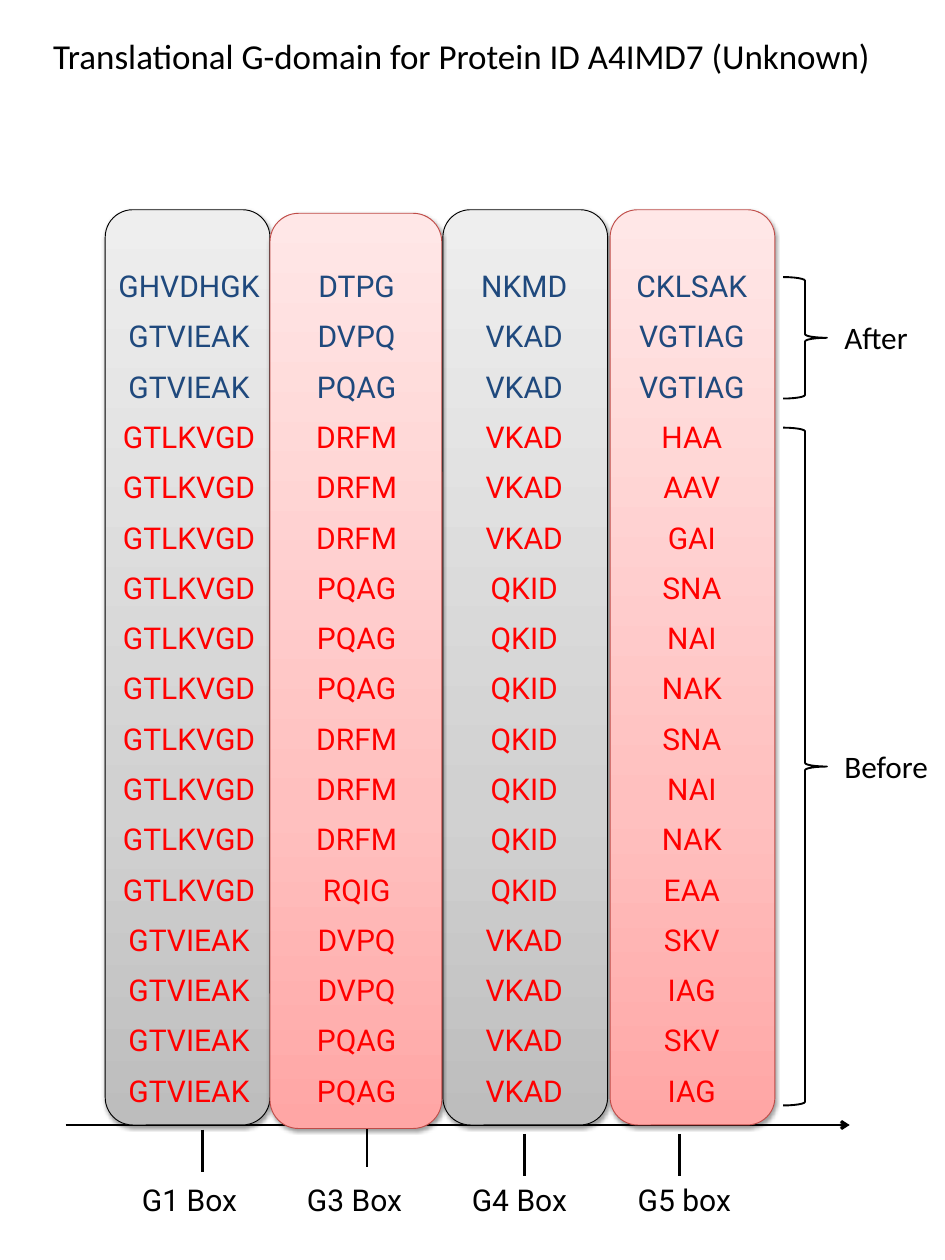
from copy import deepcopy

from lxml import etree
from pptx import Presentation
from pptx.dml.color import RGBColor
from pptx.enum import shapes, text
from pptx.oxml import ns
from pptx.util import Cm, Pt

BLACK = RGBColor(0x00, 0x00, 0x00)
WHITE = RGBColor(0xFF, 0xFF, 0xFF)
NAVY = RGBColor(0x1F, 0x49, 0x7D)
RED = RGBColor(0xFF, 0x00, 0x00)
BRICK = RGBColor(0xBF, 0x4C, 0x48)
GREYS = [RGBColor(0xBD, 0xBD, 0xBD), RGBColor(0xD1, 0xD1, 0xD1), RGBColor(0xEE, 0xEE, 0xEE)]
PINKS = [RGBColor(0xFF, 0xA6, 0xA5), RGBColor(0xFF, 0xC0, 0xBF), RGBColor(0xFF, 0xE7, 0xE7)]
PLAIN_TABLE = "{2D5ABB26-0587-4C30-8999-92F81FD0307C}"

AFTER_ROWS = 3
MOTIFS = [row.split() for row in """
GHVDHGK DTPG NKMD CKLSAK
GTVIEAK DVPQ VKAD VGTIAG
GTVIEAK PQAG VKAD VGTIAG
GTLKVGD DRFM VKAD HAA
GTLKVGD DRFM VKAD AAV
GTLKVGD DRFM VKAD GAI
GTLKVGD PQAG QKID SNA
GTLKVGD PQAG QKID NAI
GTLKVGD PQAG QKID NAK
GTLKVGD DRFM QKID SNA
GTLKVGD DRFM QKID NAI
GTLKVGD DRFM QKID NAK
GTLKVGD RQIG QKID EAA
GTVIEAK DVPQ VKAD SKV
GTVIEAK DVPQ VKAD IAG
GTVIEAK PQAG VKAD SKV
GTVIEAK PQAG VKAD IAG
""".strip().splitlines()]


def apply(target, values):
    for name, value in values.items():
        setattr(target, name, value)


def write(frame, words, font, size, color, align):
    paragraph = frame.paragraphs[0]
    paragraph.alignment = align
    run = paragraph.add_run()
    run.text = words
    apply(run.font, {"name": font, "size": Pt(size), "bold": False})
    run.font.color.rgb = color


def fit_frame(frame, wrap):
    apply(frame, {"margin_left": Cm(0.36), "margin_right": Cm(0.36),
                  "margin_top": Cm(0.18), "margin_bottom": Cm(0.18),
                  "vertical_anchor": text.MSO_ANCHOR.TOP, "word_wrap": wrap,
                  "auto_size": text.MSO_AUTO_SIZE.SHAPE_TO_FIT_TEXT})


def add_heading(slide, left, top, width, height):
    title = slide.shapes.title
    apply(title, {"left": Cm(left), "top": Cm(top), "width": Cm(width), "height": Cm(height)})
    fit_frame(title.text_frame, True)
    write(title.text_frame, "Translational G-domain for Protein ID A4IMD7 (Unknown)",
          "Calibri", 28, BLACK, text.PP_ALIGN.CENTER)


def add_rule(slide, x1, y1, x2, y2, arrow=False):
    rule = slide.shapes.add_connector(shapes.MSO_CONNECTOR.STRAIGHT,
                                      Cm(x1), Cm(y1), Cm(x2), Cm(y2))
    rule.line.color.rgb = BLACK
    rule.line.width = Pt(2.25)
    if arrow:
        etree.SubElement(rule.line._get_or_add_ln(), ns.qn("a:tailEnd"), type="arrow")
    etree.SubElement(rule._element.spPr, ns.qn("a:effectLst"))


def add_band(slide, left, top, width, height, tones, edge):
    band = slide.shapes.add_shape(shapes.MSO_SHAPE.ROUNDED_RECTANGLE,
                                  Cm(left), Cm(top), Cm(width), Cm(height))
    band.line.color.rgb = edge
    band.line.width = Pt(0.75)
    # Three-stop gradient rising from the dark foot
    band.fill.gradient()
    stop_list = band._element.spPr.find(".//" + ns.qn("a:gsLst"))
    stop_list.append(deepcopy(stop_list[0]))
    for stop, tone, position in zip(band.fill.gradient_stops, tones, (0, 0.35, 1)):
        stop.color.rgb = tone
        stop.position = position
    band.fill.gradient_angle = 90
    # Soft shadow below
    band.shadow.inherit = False
    effects = band._element.spPr.find(ns.qn("a:effectLst"))
    shade = etree.SubElement(effects, ns.qn("a:outerShdw"), blurRad="40000",
                             dist="20000", dir="5400000", rotWithShape="0")
    tint = etree.SubElement(shade, ns.qn("a:srgbClr"), val="000000")
    etree.SubElement(tint, ns.qn("a:alpha"), val="38000")


def add_grid(slide, left, top, width, height, rows, colors, cell_format, fill=None):
    frame = slide.shapes.add_table(len(rows), len(rows[0]),
                                   Cm(left), Cm(top), Cm(width), Cm(height))
    grid = frame.table
    apply(grid, {"first_row": False, "horz_banding": False})
    grid._tbl.tblPr.find(ns.qn("a:tableStyleId")).text = PLAIN_TABLE
    for r, (row, color) in enumerate(zip(rows, colors)):
        grid.rows[r].height = Cm(height / len(rows))
        for c, words in enumerate(row):
            cell = grid.cell(r, c)
            apply(cell, cell_format)
            if fill is None:
                cell.fill.background()
            else:
                cell.fill.solid()
                cell.fill.fore_color.rgb = fill
            write(cell.text_frame, words, "Roboto", 24, color, text.PP_ALIGN.CENTER)


def add_axis(slide, left, top, width):
    add_rule(slide, left, top, left + width, top, arrow=True)
    add_grid(slide, left + 1.17, top + 1.12, 18.62, 2.06,
             [["G1 Box", "G3 Box", "G4 Box", "G5 box"]], [BLACK],
             {"margin_left": Cm(0.13), "margin_right": Cm(0.13),
              "margin_top": Cm(0.2), "margin_bottom": Cm(0.2),
              "vertical_anchor": text.MSO_ANCHOR.MIDDLE}, WHITE)
    for x, drop in ((3.87, 0.13), (8.51, 0), (12.96, 0.25), (17.33, 0.25)):
        add_rule(slide, left + x, top + drop, left + x, top + drop + 1.19)


def add_phase(slide, left, top, height, label, label_width):
    brace = slide.shapes.add_shape(shapes.MSO_SHAPE.RIGHT_BRACE,
                                   Cm(left), Cm(top), Cm(1.24), Cm(height))
    brace.fill.background()
    brace.line.color.rgb = BLACK
    brace.line.width = Pt(1.5)
    brace.shadow.inherit = False
    # Label centred on the brace tip
    caption = slide.shapes.add_textbox(Cm(left + 1.37), Cm(top + (height - 1.45) / 2),
                                       Cm(label_width), Cm(1.45))
    fit_frame(caption.text_frame, False)
    write(caption.text_frame, label, "Calibri", 25, BLACK, text.PP_ALIGN.LEFT)


def add_motifs(slide, left, top, height):
    # Columns behind the sequences: the greys first, then the pinks
    for x, drop, width, tones, edge in ((0, 0, 4.65, GREYS, BLACK), (9.53, 0, 4.65, GREYS, BLACK),
                                        (4.65, 0.1, 4.85, PINKS, BRICK),
                                        (14.25, 0, 4.65, PINKS, BRICK)):
        add_band(slide, left + x, top + drop, width, height, tones, edge)
    colors = [NAVY] * AFTER_ROWS + [RED] * (len(MOTIFS) - AFTER_ROWS)
    add_grid(slide, left, top + 1.27, 18.92, 24.13, MOTIFS, colors,
             {"margin_left": Cm(0.03), "margin_right": Cm(0.03),
              "margin_top": Cm(0.03), "margin_bottom": 0,
              "vertical_anchor": text.MSO_ANCHOR.BOTTOM})


deck = Presentation()
apply(deck, {"slide_width": Cm(26.67), "slide_height": Cm(35.56)})
page = deck.slides.add_slide(deck.slide_layouts[5])
add_heading(page, 0, 0.79, 26.04, 1.55)
add_axis(page, 1.85, 31.75, 22.13)
add_phase(page, 22.1, 12.07, 19.13, "Before", 3.12)
add_phase(page, 22.1, 7.82, 3.43, "After", 2.57)
add_motifs(page, 2.97, 5.92, 25.83)
deck.save("out.pptx")
